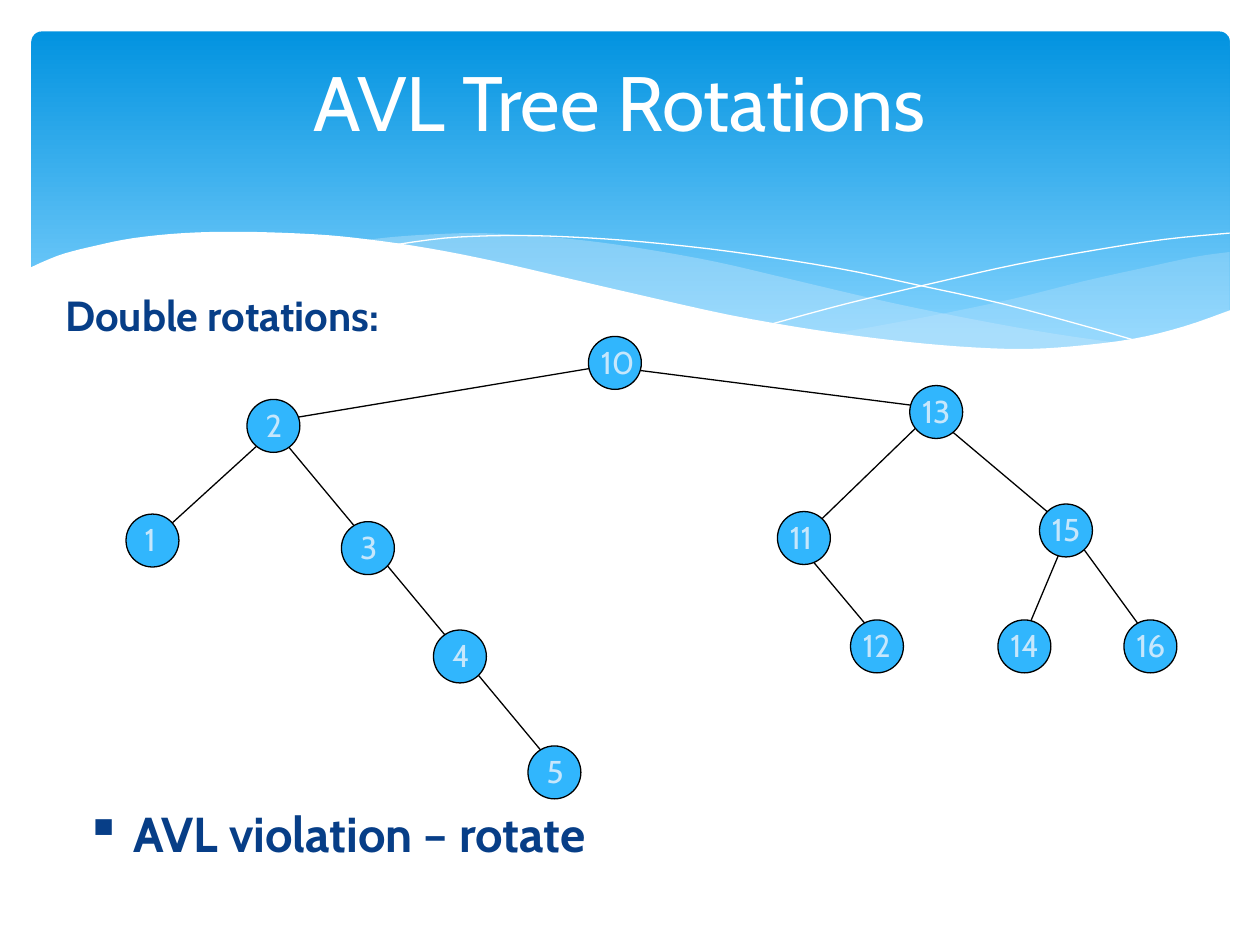
from lxml.etree import SubElement
from pptx import Presentation
from pptx.dml.color import RGBColor
from pptx.enum.shapes import MSO_CONNECTOR, MSO_SHAPE
from pptx.enum.text import MSO_ANCHOR, PP_ALIGN
from pptx.oxml.ns import qn
from pptx.util import Inches, Pt

WIDTH, HEIGHT = Inches(10), Inches(7.5)
CELL = WIDTH // 100  # the slide is a grid of 100 columns and 75 rows
COLORS = {
    "band_top": "0293E0", "band_bottom": "83D3FE", "pale": "C6E7FC",
    "white": "FFFFFF", "black": "000000", "node": "31B6FD", "navy": "073E87",
}
FONT = "Cabin"
NODE_SIZE = 4.2

# Key points of the wave curves, as (column, row)
RIGHT_TOP = [(97.6, 20), (94.8, 20.4), (90.6, 21.3), (86.1, 22.3), (80.5, 23.7),
             (75.3, 24.8), (70.6, 25.7), (66.1, 26.5)]
RIGHT_BOTTOM = [(66.1, 26.5), (70.5, 27.1), (75.7, 27.6), (80.3, 27.8), (85.4, 27.7),
                (89.7, 27), (93.5, 26.2), (97.6, 24.7)]
MIDDLE_TOP = [(89.3, 27.3), (83.7, 26.5), (77.5, 25.4), (70.6, 24), (62.9, 22.2),
              (56.9, 20.8), (51.4, 19.8), (46.5, 19.1), (42, 18.7), (38, 18.5),
              (34.4, 18.6), (31.3, 18.8), (28.6, 19.1)]
MIDDLE_BOTTOM = [(28.6, 19.1), (34.2, 19.9), (40.4, 21.1), (44.9, 22.2), (53, 24),
                 (60.1, 25.5), (66.5, 26.6), (72.2, 27.4), (77.3, 27.7), (81.8, 27.8),
                 (85.7, 27.7), (89.3, 27.3)]
FALLING_LINE = [(30.9, 19.5), (35.3, 18.9), (40.1, 18.7), (45, 18.8), (51, 19.2),
                (58.2, 20), (66.5, 21.3), (72.7, 22.6), (79.5, 24.1), (86.9, 26.1),
                (90.7, 27.2)]
RISING_LINE = [(61.3, 25.7), (67.2, 24.1), (74.8, 22.3), (80.6, 21), (86.6, 19.9),
               (92.4, 19), (97.6, 18.5)]
WHITE_EDGE = [(97.7, 24.6), (94, 25.9), (89.9, 26.9), (85, 27.5), (80.9, 27.7),
              (76.1, 27.5), (70.8, 27), (64.8, 26.2), (57.9, 25), (50.3, 23.3),
              (44.7, 22), (39.1, 20.7), (34, 19.7), (29.2, 19), (25, 18.6), (19.3, 18.4),
              (14.6, 18.5), (10.6, 18.9), (7.6, 19.5), (5.2, 20.1), (3.6, 20.7), (2.3, 21.3)]

# Tree edges: column and row of both ends
EDGES = [
    (21.7, 34.2, 11.7, 43.3), (85, 42.2, 91.7, 51.4), (63.3, 43.1, 70, 51.1),
    (49.2, 29.2, 75, 32.5), (22.5, 33.3, 48.9, 28.9), (85, 41.7, 80.8, 51.7),
    (21.1, 33.3, 43.3, 60), (74.2, 32.5, 65, 41.4), (74.2, 33.1, 85, 42.2),
]
# Tree nodes: key -> column and row of the top left corner
NODES = {
    10: (46.7, 26.7), 13: (72.2, 30.6), 15: (82.5, 40), 2: (19.6, 31.7),
    11: (61.7, 40.6), 1: (10, 40.8), 3: (27.1, 41.4), 4: (34.4, 50),
    12: (67.5, 49.2), 14: (79.2, 49.2), 16: (89.2, 49.2), 5: (41.9, 59.2),
}


def color(name):
    return RGBColor.from_string(COLORS[name])


def cells(*lengths):
    return [round(length * CELL) for length in lengths]


def apply_formats(target, formats):
    for name, value in formats.items():
        setattr(target, name, value)


def curve(points, steps=4):
    """Points along a smooth Catmull-Rom curve through the key points."""
    padded = [points[0], *points, points[-1]]
    smooth = [points[0]]
    for a, b, c, d in zip(padded, padded[1:], padded[2:], padded[3:]):
        for t in (step / steps for step in range(1, steps + 1)):
            smooth.append(tuple(
                (2 * q + (r - p) * t + (2 * p - 5 * q + 4 * r - s) * t ** 2
                 + (3 * q - p - 3 * r + s) * t ** 3) / 2
                for p, q, r, s in zip(a, b, c, d)))
    return smooth


def add_outline(slide, points, closed):
    start, *rest = [cells(*point) for point in points]
    builder = slide.shapes.build_freeform(*start)
    builder.add_line_segments(rest, close=closed)
    outline = builder.convert_to_shape()
    outline.shadow.inherit = False
    return outline


def add_wave(slide, points, fill, opacity=100):
    wave = add_outline(slide, points, True)
    wave.fill.solid()
    wave.fill.fore_color.rgb = color(fill)
    wave.line.fill.background()
    if opacity < 100:
        tone = wave.fill._xPr.find(".//" + qn("a:srgbClr"))
        SubElement(tone, qn("a:alpha"), val=str(opacity * 1000))


def add_hairline(slide, points):
    hairline = add_outline(slide, points, False)
    hairline.fill.background()
    hairline.line.color.rgb = color("white")
    hairline.line.width = Pt(0)


def add_band(slide):
    band = slide.shapes.add_shape(MSO_SHAPE.ROUNDED_RECTANGLE, *cells(2.5, 2.5, 95.1, 27))
    band.adjustments[0] = 0.03
    band.shadow.inherit = False
    band.line.fill.background()
    band.fill.gradient()
    band.fill.gradient_angle = 270
    shades = (("band_top", 0), ("band_bottom", 0.9))
    for stop, (shade, position) in zip(band.fill.gradient_stops, shades):
        stop.color.rgb = color(shade)
        stop.position = position


def add_edge(slide, ends):
    edge = slide.shapes.add_connector(MSO_CONNECTOR.STRAIGHT, *cells(*ends))
    edge.line.color.rgb = color("black")
    edge.line.width = Pt(0.75)
    SubElement(edge._element.spPr, qn("a:effectLst"))


def add_text(slide, text, box, size, tone, bold=False, indent=0, bullet=None,
             anchor=MSO_ANCHOR.TOP, align=PP_ALIGN.LEFT):
    frame = slide.shapes.add_textbox(*cells(*box)).text_frame
    apply_formats(frame, {"word_wrap": True, "vertical_anchor": anchor})
    paragraph = frame.paragraphs[0]
    apply_formats(paragraph, {"text": text, "alignment": align})
    if indent:
        margin = round(indent * CELL)
        properties = paragraph._p.get_or_add_pPr()
        properties.set("marL", str(margin))
        properties.set("indent", str(-margin))
        if bullet:
            SubElement(properties, qn("a:buChar"), char=bullet)
    font = paragraph.runs[0].font
    apply_formats(font, {"name": FONT, "size": Pt(size), "bold": bold})
    font.color.rgb = color(tone)


def add_node(slide, key, column, row):
    node = slide.shapes.add_shape(MSO_SHAPE.OVAL, *cells(column, row, NODE_SIZE, NODE_SIZE))
    node.shadow.inherit = False
    node.fill.solid()
    node.fill.fore_color.rgb = color("node")
    node.line.color.rgb = color("black")
    node.line.width = Pt(0.75)
    inset = 0.5 if key < 10 else 0  # centres single digits
    add_text(slide, str(key), (column + inset, row, 5, 4), 18, "pale")


def main():
    deck = Presentation()
    apply_formats(deck, {"slide_width": WIDTH, "slide_height": HEIGHT})
    slide = deck.slides.add_slide(deck.slide_layouts[6])

    # Header band with waves
    add_band(slide)
    add_wave(slide, curve(RIGHT_TOP) + curve(RIGHT_BOTTOM), "pale", 29)
    add_wave(slide, curve(MIDDLE_TOP) + curve(MIDDLE_BOTTOM), "pale", 40)
    add_hairline(slide, curve(FALLING_LINE))
    add_hairline(slide, curve(RISING_LINE))
    add_wave(slide, curve(WHITE_EDGE) + [(2.3, 32.9), (97.7, 32.9)], "white")

    # Tree: edges lie under the nodes
    for ends in EDGES:
        add_edge(slide, ends)
    for key, (column, row) in NODES.items():
        add_node(slide, key, column, row)

    # Title and notes on the tree
    add_text(slide, "AVL Tree Rotations", (6.7, 1.7, 85, 12.5), 44, "white",
             anchor=MSO_ANCHOR.MIDDLE, align=PP_ALIGN.CENTER)
    add_text(slide, "Double rotations:", (4.2, 22.5, 93.3, 6.7), 24, "navy",
             bold=True, indent=3)
    add_text(slide, "AVL violation – rotate", (5.8, 63.3, 45.8, 6.7), 28, "navy",
             bold=True, indent=3.8, bullet="▪")

    deck.save("out.pptx")


if __name__ == "__main__":
    main()
